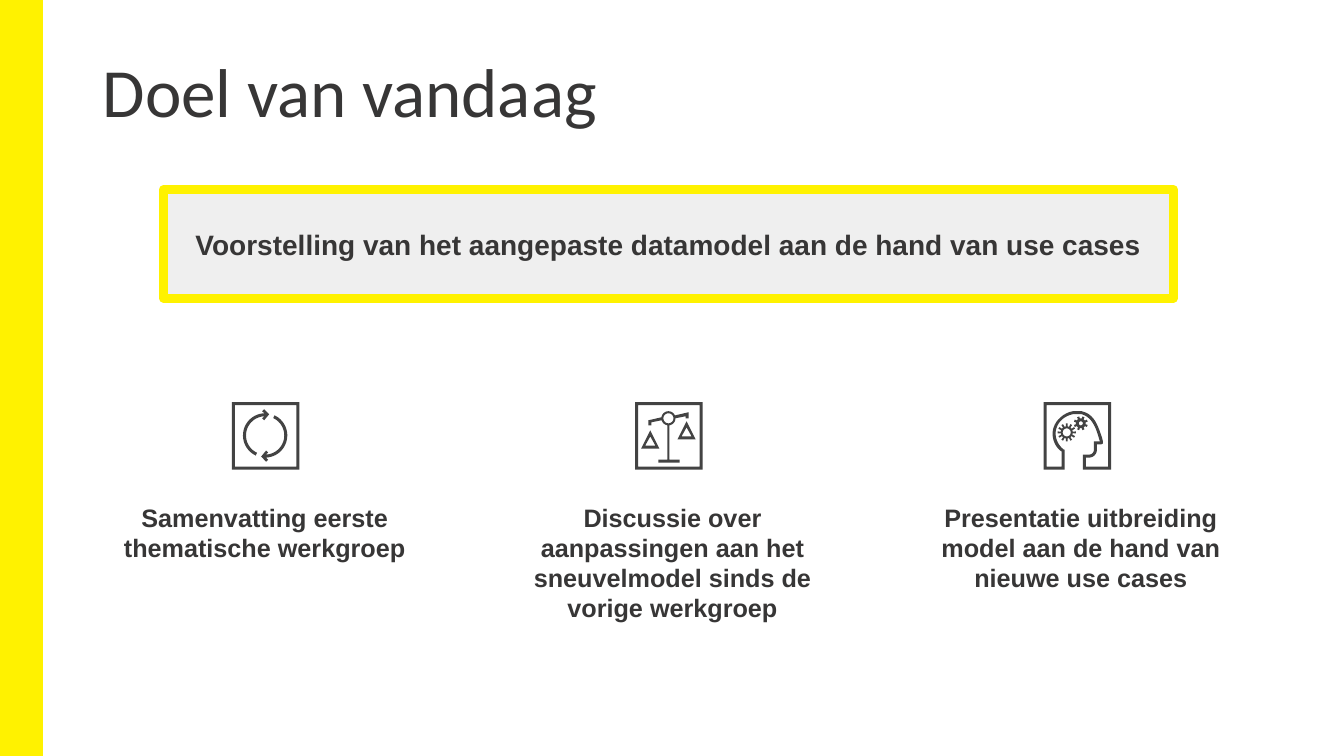
from dataclasses import dataclass
from math import cos, pi, radians, sin

from pptx import Presentation
from pptx.dml.color import RGBColor
from pptx.enum.shapes import MSO_SHAPE
from pptx.enum.text import MSO_ANCHOR, PP_ALIGN
from pptx.util import Inches, Pt


@dataclass(frozen=True)
class Theme:
    yellow: RGBColor = RGBColor(0xFF, 0xF2, 0x00)
    panel: RGBColor = RGBColor(0xEF, 0xEF, 0xEF)
    ink: RGBColor = RGBColor(0x37, 0x36, 0x36)
    icon: RGBColor = RGBColor(0x43, 0x43, 0x43)
    heading_font: str = "Calibri"
    body_font: str = "Arial"
    title_size: float = 49.3
    goal_size: float = 20
    topic_size: float = 18


def write(frame, text, *, font, size, color, bold=False, align=PP_ALIGN.LEFT,
          anchor=MSO_ANCHOR.TOP, margins=(0.1, 0.05), spacing=None):
    frame.word_wrap = True
    frame.vertical_anchor = anchor
    frame.margin_left = frame.margin_right = Inches(margins[0])
    frame.margin_top = frame.margin_bottom = Inches(margins[1])
    paragraph = frame.paragraphs[0]
    paragraph.alignment = align
    paragraph.line_spacing = spacing
    run = paragraph.add_run()
    run.text = text
    run.font.name, run.font.size, run.font.bold = font, Pt(size), bold
    run.font.color.rgb = color


class SlideBuilder:
    def __init__(self, slide, theme):
        self.shapes = slide.shapes
        self.theme = theme

    def box(self, place, fill, line_width):
        box = self.shapes.add_shape(MSO_SHAPE.RECTANGLE, *map(Inches, place))
        box.shadow.inherit = False
        box.fill.solid()
        box.fill.fore_color.rgb = fill
        box.line.color.rgb = self.theme.yellow
        box.line.width = Pt(line_width)
        return box.text_frame

    def text(self, place, text, **style):
        write(self.shapes.add_textbox(*map(Inches, place)).text_frame, text, **style)

    def outline(self, *contours):
        """One filled shape; inner contours become holes."""
        pen = None
        for contour in contours:
            start, *rest = [(Inches(x), Inches(y)) for x, y in contour]
            if pen is None:
                pen = self.shapes.build_freeform(*start)
            else:
                pen.move_to(*start)
            pen.add_line_segments(rest, close=True)
        figure = pen.convert_to_shape()
        figure.shadow.inherit = False
        figure.fill.solid()
        figure.fill.fore_color.rgb = self.theme.icon
        figure.line.fill.background()


# Geometry of the icons
def square(left, top, side):
    return [(left, top), (left, top + side), (left + side, top + side), (left + side, top)]


def frame_contours(left):
    return square(left, ICON_TOP, ICON_SIDE), square(left + 0.03, ICON_TOP + 0.03, ICON_SIDE - 0.06)


def arc(center, radius, first, last, steps=24):
    angles = [radians(first + (last - first) * i / steps) for i in range(steps + 1)]
    return [(center[0] + radius * cos(a), center[1] + radius * sin(a)) for a in angles]


def curve(a, b, c, d, steps=10):
    points = []
    for i in range(steps + 1):
        t = i / steps
        weights = ((1 - t) ** 3, 3 * t * (1 - t) ** 2, 3 * t * t * (1 - t), t ** 3)
        points.append(tuple(sum(w * p[k] for w, p in zip(weights, (a, b, c, d)))
                            for k in (0, 1)))
    return points


def gear(center, tip, root, hole, teeth, turn=0.0):
    rim = []
    for tooth in range(teeth):
        for radius, offset in ((root, -0.25), (tip, -0.2), (tip, 0.2), (root, 0.25)):
            a = 2 * pi * (tooth + turn + offset) / teeth
            rim.append((center[0] + radius * cos(a), center[1] + radius * sin(a)))
    return rim, arc(center, hole, 0, 345, 23)


def triangle(center, top, half, height):
    return [(center, top), (center - half, top + height), (center + half, top + height)]


ICON_TOP, ICON_SIDE = 3.99, 0.67


def draw_cycle(page):
    page.outline(*frame_contours(2.3))
    center = (2.63, 4.32)
    head = [(2.6, 4.15), (2.62, 4.17), (2.67, 4.11), (2.62, 4.06), (2.6, 4.08)]
    arrow = arc(center, 0.22, 268, 115) + arc(center, 0.19, 115, 268) + head
    page.outline(arrow)
    page.outline([(2 * center[0] - x, 2 * center[1] - y) for x, y in arrow])


def draw_scales(page):
    pivot = (6.63, 4.15)
    stand = [(6.62, 4.22), (6.62, 4.56), (6.53, 4.56), (6.53, 4.59), (6.74, 4.59),
             (6.74, 4.56), (6.64, 4.56), (6.64, 4.22)]
    right_arm = [(6.7, 4.15), (6.8, 4.13), (6.8, 4.15), (6.83, 4.15), (6.83, 4.09), (6.7, 4.12)]
    left_arm = [(6.56, 4.14), (6.43, 4.17), (6.43, 4.22), (6.46, 4.22), (6.46, 4.19), (6.56, 4.17)]
    pans = [triangle(x, top + drop, half, height) for x, top in ((6.45, 4.27), (6.81, 4.18))
            for drop, half, height in ((0, 0.09, 0.18), (0.06, 0.05, 0.09))]
    beam = stand + arc(pivot, 0.07, 80, 20, 6) + right_arm
    beam += arc(pivot, 0.07, -25, -170) + left_arm + arc(pivot, 0.07, 160, 100, 6)
    page.outline(*frame_contours(6.3), *pans, beam, arc(pivot, 0.05, 0, 345, 23))


def draw_thinking_head(page):
    outer = [(10.35, 3.99), (10.35, 4.66), (10.56, 4.66), (10.56, 4.46)]
    outer += curve((10.55, 4.46), (10.5, 4.42), (10.47, 4.36), (10.47, 4.3))
    outer += curve((10.47, 4.3), (10.47, 4.21), (10.54, 4.13), (10.64, 4.11))
    outer += curve((10.64, 4.11), (10.66, 4.11), (10.71, 4.11), (10.73, 4.11))
    outer += curve((10.73, 4.11), (10.83, 4.14), (10.87, 4.24), (10.9, 4.35))
    outer += [(10.91, 4.38), (10.85, 4.38)]
    outer += curve((10.85, 4.46), (10.85, 4.49), (10.83, 4.51), (10.8, 4.51))
    outer += [(10.74, 4.51), (10.74, 4.66), (11.02, 4.66), (11.02, 3.99)]
    inner = [(10.99, 4.63), (10.77, 4.63), (10.77, 4.54)]
    inner += curve((10.8, 4.54), (10.85, 4.54), (10.88, 4.5), (10.88, 4.46))
    inner += [(10.88, 4.41), (10.92, 4.41), (10.94, 4.4), (10.94, 4.38), (10.93, 4.34)]
    inner += curve((10.93, 4.34), (10.89, 4.23), (10.86, 4.11), (10.73, 4.08))
    inner += curve((10.73, 4.08), (10.71, 4.08), (10.66, 4.08), (10.64, 4.08))
    inner += curve((10.64, 4.08), (10.53, 4.1), (10.44, 4.2), (10.44, 4.3))
    inner += curve((10.44, 4.3), (10.44, 4.37), (10.47, 4.44), (10.53, 4.48))
    inner += [(10.53, 4.63), (10.38, 4.63), (10.38, 4.02), (10.99, 4.02)]
    page.outline(outer, inner)
    page.outline(*gear((10.58, 4.29), 0.09, 0.06, 0.04, 12))
    page.outline(*gear((10.72, 4.2), 0.07, 0.05, 0.02, 8, turn=0.5))


def main():
    deck = Presentation()
    deck.slide_width, deck.slide_height = Inches(13.33), Inches(7.5)
    theme = Theme()
    page = SlideBuilder(deck.slides.add_slide(deck.slide_layouts[6]), theme)

    # Side band and title
    page.box((0, 0, 0.42, 7.5), theme.yellow, 1)
    page.text((0.92, 0.4, 11.5, 1.08), "Doel van vandaag", font=theme.heading_font,
              size=theme.title_size, color=theme.ink, anchor=MSO_ANCHOR.MIDDLE, spacing=0.9)

    # Main goal
    goal = page.box((1.62, 1.88, 10.02, 1.08), theme.panel, 6)
    body = dict(font=theme.body_font, color=theme.ink, bold=True, align=PP_ALIGN.CENTER)
    write(goal, "Voorstelling van het aangepaste datamodel aan de hand van use cases",
          size=theme.goal_size, anchor=MSO_ANCHOR.MIDDLE, margins=(0.13, 0.07), **body)

    # Three topics, each an icon above its text
    topics = (
        (draw_cycle, 1.1, 3.05, 1.98, "Samenvatting eerste thematische werkgroep"),
        (draw_scales, 5.1, 3.14, 1.98,
         "Discussie over aanpassingen aan het sneuvelmodel sinds de vorige werkgroep"),
        (draw_thinking_head, 9.15, 3.14, 1.01,
         "Presentatie uitbreiding model aan de hand van nieuwe use cases"),
    )
    for draw_icon, left, width, height, topic in topics:
        draw_icon(page)
        page.text((left, 4.93, width, height), topic, size=theme.topic_size, **body)

    deck.save("out.pptx")


if __name__ == "__main__":
    main()
